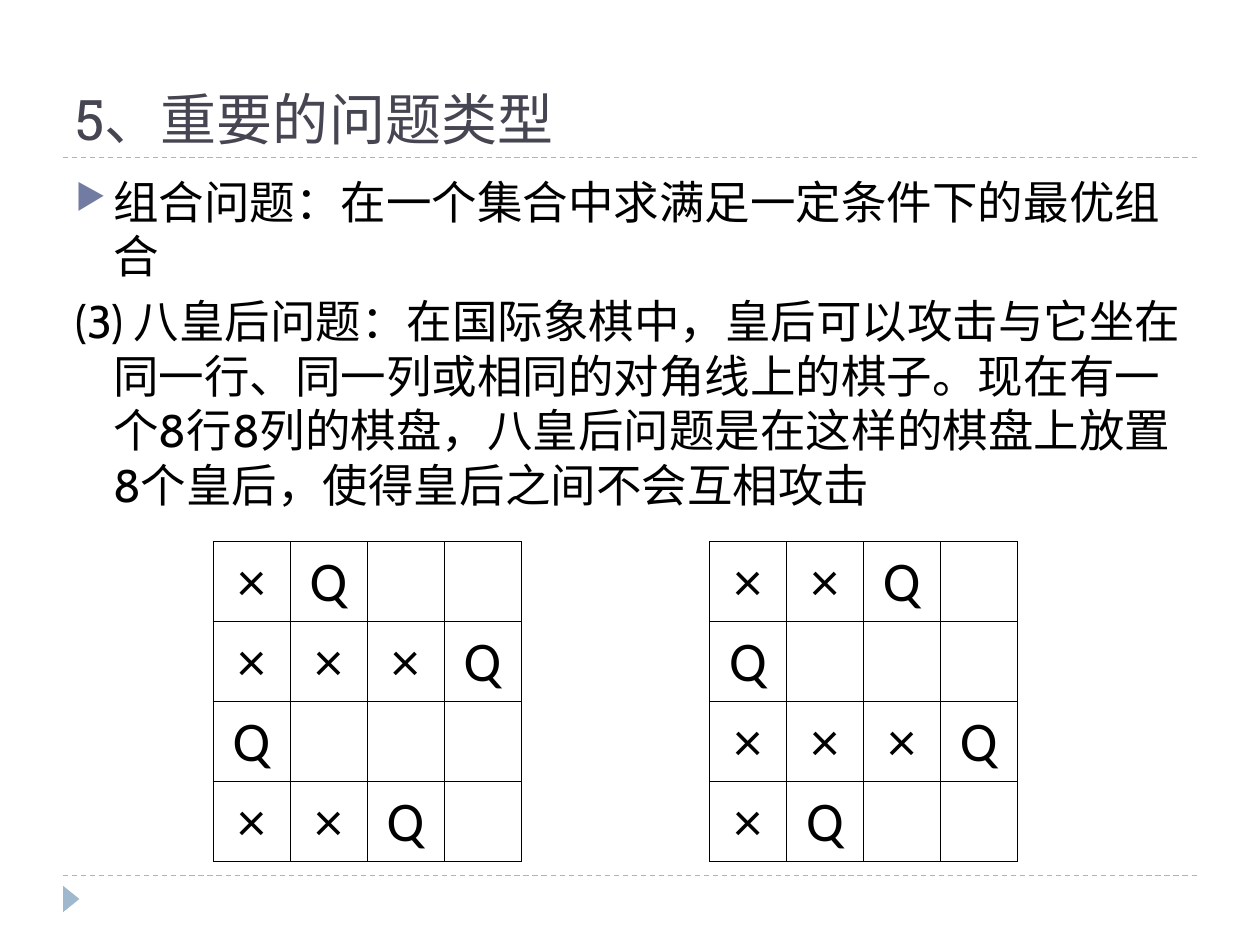
from lxml.etree import SubElement
from pptx import Presentation
from pptx.dml.color import RGBColor
from pptx.enum.dml import MSO_LINE
from pptx.enum.shapes import MSO_CONNECTOR, MSO_SHAPE
from pptx.enum.text import MSO_ANCHOR, PP_ALIGN
from pptx.oxml.ns import qn
from pptx.util import Pt

"""Build a slide on combinatorial problems with two four-queens boards."""


def color(value):
    return RGBColor.from_string(value)


def write(para, text, style):
    span = para.add_run()
    span.text = text
    for name, value in style.items():
        if name == "color":
            span.font.color.rgb = color(value)
        else:
            setattr(span.font, name, value)


title_style = {"size": Pt(32), "name": "Roboto Slab", "color": "464653"}
body_style = {"size": Pt(26), "name": "Cabin", "color": "000000"}
cell_style = {"size": Pt(32), "name": "Calibri", "color": "000000"}

deck = Presentation()
deck.slide_width, deck.slide_height = Pt(720), Pt(540)
page = deck.slides.add_slide(deck.slide_layouts[6])

for top in (500.4, 90):
    rule = page.shapes.add_connector(MSO_CONNECTOR.STRAIGHT, Pt(36), Pt(top), Pt(684), Pt(top))
    rule.line.color.rgb = color("9FB8CD")
    rule.line.width = Pt(0.75)
    rule.line.dash_style = MSO_LINE.DASH
    SubElement(rule._element.spPr, qn("a:effectLst"))

marker = page.shapes.add_shape(
    MSO_SHAPE.ISOSCELES_TRIANGLE, Pt(33.12), Pt(509.04), Pt(15.12), Pt(9.36)
)
marker.rotation = 90
marker.shadow.inherit = False
marker.fill.solid()
marker.fill.fore_color.rgb = color("9FB8CD")
marker.line.fill.background()

title = page.shapes.add_textbox(Pt(36), Pt(12.24), Pt(648), Pt(77.76)).text_frame
title.word_wrap = True
title.vertical_anchor = MSO_ANCHOR.BOTTOM
write(title.paragraphs[0], "5、重要的问题类型", title_style)

body = page.shapes.add_textbox(Pt(36), Pt(95.76), Pt(648), Pt(388.8)).text_frame
body.word_wrap = True
topic, puzzle = body.paragraphs[0], body.add_paragraph()
for para in (topic, puzzle):
    properties = para._p.get_or_add_pPr()
    properties.set("marL", str(Pt(21.6)))
    properties.set("indent", str(-Pt(21.6)))
properties = topic._p.get_or_add_pPr()
bullet_color = SubElement(properties, qn("a:buClr"))
SubElement(bullet_color, qn("a:srgbClr"), val="727CA3")
SubElement(properties, qn("a:buSzPct"), val="76000")
SubElement(properties, qn("a:buChar"), char="▶")
puzzle.space_before = Pt(6)
write(topic, "组合问题：在一个集合中求满足一定条件下的最优组合", body_style)
write(
    puzzle,
    "(3) 八皇后问题：在国际象棋中，皇后可以攻击与它坐在同一行、同一列或相同的对角线上的棋子。"
    "现在有一个8行8列的棋盘，八皇后问题是在这样的棋盘上放置8个皇后，使得皇后之间不会互相攻击",
    body_style,
)

boards = [(121.68, (1, 3, 0, 2)), (405.36, (2, 0, 3, 1))]
for left, queens in boards:
    board = page.shapes.add_table(4, 4, Pt(left), Pt(309.6), Pt(176), Pt(170)).table
    board.first_row = board.horz_banding = False
    for row, queen in enumerate(queens):
        for column in range(4):
            cell = board.cell(row, column)
            cell.margin_left = cell.margin_right = Pt(5.76)
            for side in ("lnL", "lnR", "lnT", "lnB"):
                border = SubElement(cell._tc.get_or_add_tcPr(), qn(f"a:{side}"), w=str(Pt(0.45)))
                ink = SubElement(border, qn("a:solidFill"))
                SubElement(ink, qn("a:srgbClr"), val="000000")
            cell.fill.background()
            if column <= queen:
                para = cell.text_frame.paragraphs[0]
                para.alignment = PP_ALIGN.CENTER
                write(para, "Q" if column == queen else "×", cell_style)

deck.save("out.pptx")
